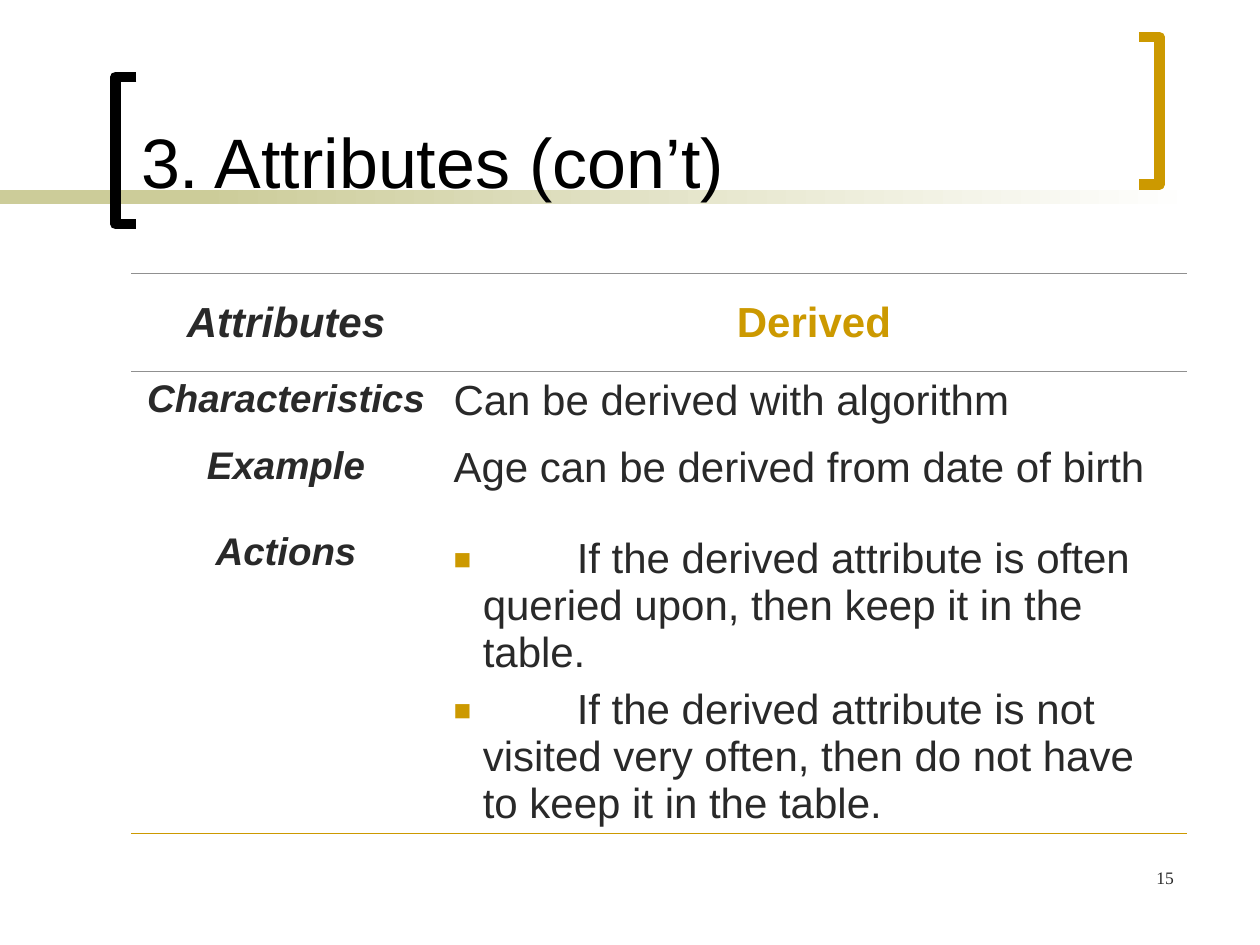
"""Build the slide on derived attributes."""
from lxml import etree
from pptx import Presentation
from pptx.dml.color import RGBColor
from pptx.enum.shapes import MSO_SHAPE
from pptx.enum.text import MSO_ANCHOR, PP_ALIGN
from pptx.oxml.ns import qn
from pptx.util import Pt

RECT = MSO_SHAPE.RECTANGLE
LEFT, CENTER, RIGHT = PP_ALIGN.LEFT, PP_ALIGN.CENTER, PP_ALIGN.RIGHT
TOP, MIDDLE, BOTTOM = MSO_ANCHOR.TOP, MSO_ANCHOR.MIDDLE, MSO_ANCHOR.BOTTOM
BLACK = RGBColor(0x00, 0x00, 0x00)
WHITE = RGBColor(0xFF, 0xFF, 0xFF)
INK = RGBColor(0x29, 0x29, 0x29)
GOLD = RGBColor(0xCC, 0x99, 0x00)
SAND = RGBColor(0xCC, 0xCC, 0x99)
GREY = RGBColor(0x90, 0x90, 0x90)

TITLE = "3. Attributes (con’t)"
PAGE = "15"
LABEL = dict(size=22, bold=True, italic=True, align=CENTER)
HEAD = dict(size=24, bold=True, align=CENTER)
BODY = dict(size=24)
ROWS = [
    ([("Attributes", dict(HEAD, italic=True))], [("Derived", dict(HEAD, color=GOLD))]),
    ([("Characteristics", LABEL)], [("Can be derived with algorithm", BODY)]),
    (
        [("Example", LABEL), ("Actions", dict(LABEL, before=24.6))],
        [
            ("Age can be derived from date of birth", BODY),
            ("\tIf the derived attribute is often queried upon, "
             "then keep it in the table.", dict(BODY, before=25.1, bullet=True)),
            ("\tIf the derived attribute is not visited very often, "
             "then do not have to keep it in the table.",
             dict(BODY, before=6, bullet=True)),
        ],
    ),
]
COL_WIDTHS = (177.1, 426.2)
ROW_HEIGHTS = (56.2, 38.2, 212.4)
TABLE_AT = (74.9, 156.2)
RULES = [(GREY, GREY), (GREY, None), (None, GOLD)]
BANDS = [(0, 167.8, (SAND, SAND)), (113.8, 570.2, (SAND, WHITE))]
BAND_TOP, BAND_HEIGHT = 108.7, 7.9
BRACKETS = [(66, 78, 43.9, BLACK), (662.5, 650.8, 21.3, GOLD)]
BRACKET_HEIGHT = 84.2
BULLET_INDENT, BULLET_TAB = 16.7, 70.4


def add_text(p, text, size=24, font="Arial", color=INK, bold=False,
             italic=False, align=LEFT, before=0, bullet=False):
    p.alignment = align
    p.space_before = Pt(before)
    if bullet:
        add_bullet(p)
    r = p.add_run()
    r.text = text
    r.font.name, r.font.size, r.font.color.rgb = font, Pt(size), color
    r.font.bold, r.font.italic = bold, italic


def add_bullet(p):
    pPr = p._p.get_or_add_pPr()
    pPr.set("marL", str(Pt(BULLET_INDENT)))
    pPr.set("indent", str(-Pt(BULLET_INDENT)))
    clr = etree.SubElement(pPr, qn("a:buClr"))
    etree.SubElement(clr, qn("a:srgbClr"), val=str(GOLD))
    etree.SubElement(pPr, qn("a:buSzPct"), val="70000")
    etree.SubElement(pPr, qn("a:buFont"), typeface="Arial")
    etree.SubElement(pPr, qn("a:buChar"), char="■")
    tabs = etree.SubElement(pPr, qn("a:tabLst"))
    etree.SubElement(tabs, qn("a:tab"), pos=str(Pt(BULLET_TAB)), algn="l")


def set_borders(cell, top, bottom):
    tcPr = cell._tc.get_or_add_tcPr()
    sides = (("L", None), ("R", None), ("T", top), ("B", bottom))
    for i, (side, color) in enumerate(sides):
        ln = etree.Element(qn(f"a:ln{side}"), w=str(Pt(0.45)))
        if color is None:
            etree.SubElement(ln, qn("a:noFill"))
        else:
            fill = etree.SubElement(ln, qn("a:solidFill"))
            etree.SubElement(fill, qn("a:srgbClr"), val=str(color))
        tcPr.insert(i, ln)


def set_insets(tf):
    tf.margin_left = tf.margin_right = Pt(7.2)
    tf.margin_top = tf.margin_bottom = Pt(3.6)
    tf.word_wrap = True


def add_band(s, left, width, colors):
    sp = s.shapes.add_shape(RECT, Pt(left), Pt(BAND_TOP), Pt(width), Pt(BAND_HEIGHT))
    sp.shadow.inherit = False
    sp.line.fill.background()
    sp.fill.gradient()
    sp.fill.gradient_angle = 0
    for stop, color in zip(sp.fill.gradient_stops, colors):
        stop.color.rgb = color


def add_bracket(s, spine, tip, top, color):
    bottom = top + BRACKET_HEIGHT
    fb = s.shapes.build_freeform(Pt(tip), Pt(top))
    corners = [(spine, top), (spine, bottom), (tip, bottom)]
    fb.add_line_segments([(Pt(x), Pt(y)) for x, y in corners], close=False)
    sp = fb.convert_to_shape()
    sp.shadow.inherit = False
    sp.fill.background()
    sp.line.color.rgb, sp.line.width = color, Pt(6)


def add_grid(s):
    frame = s.shapes.add_table(
        len(ROWS), len(COL_WIDTHS), *map(Pt, TABLE_AT),
        Pt(sum(COL_WIDTHS)), Pt(sum(ROW_HEIGHTS)))
    table = frame.table
    table.first_row = table.horz_banding = False
    for col, width in zip(table.columns, COL_WIDTHS):
        col.width = Pt(width)
    for i, (row, height) in enumerate(zip(table.rows, ROW_HEIGHTS)):
        row.height = Pt(height)
        for cell, paragraphs in zip(row.cells, ROWS[i]):
            cell.fill.background()
            set_insets(cell)
            cell.vertical_anchor = TOP if i else MIDDLE
            set_borders(cell, *RULES[i])
            tf = cell.text_frame
            for j, (text, fmt) in enumerate(paragraphs):
                add_text(tf.add_paragraph() if j else tf.paragraphs[0], text, **fmt)


def main():
    prs = Presentation()
    prs.slide_width, prs.slide_height = Pt(720), Pt(540)
    s = prs.slides.add_slide(prs.slide_layouts[5])
    for band in BANDS:
        add_band(s, *band)
    for bracket in BRACKETS:
        add_bracket(s, *bracket)

    title = s.shapes.title
    title.left, title.top, title.width, title.height = map(Pt, (73.4, 7.9, 563.8, 111.6))
    set_insets(title.text_frame)
    title.text_frame.vertical_anchor = BOTTOM
    add_text(title.text_frame.paragraphs[0], TITLE, size=40, color=BLACK)
    s.shapes._spTree.append(title._element)

    add_grid(s)
    number = s.shapes.add_textbox(Pt(527.8), Pt(491.8), Pt(150), Pt(36))
    set_insets(number.text_frame)
    add_text(number.text_frame.paragraphs[0], PAGE, size=10,
             font="Times New Roman", align=RIGHT)
    prs.save("out.pptx")


if __name__ == "__main__":
    main()
